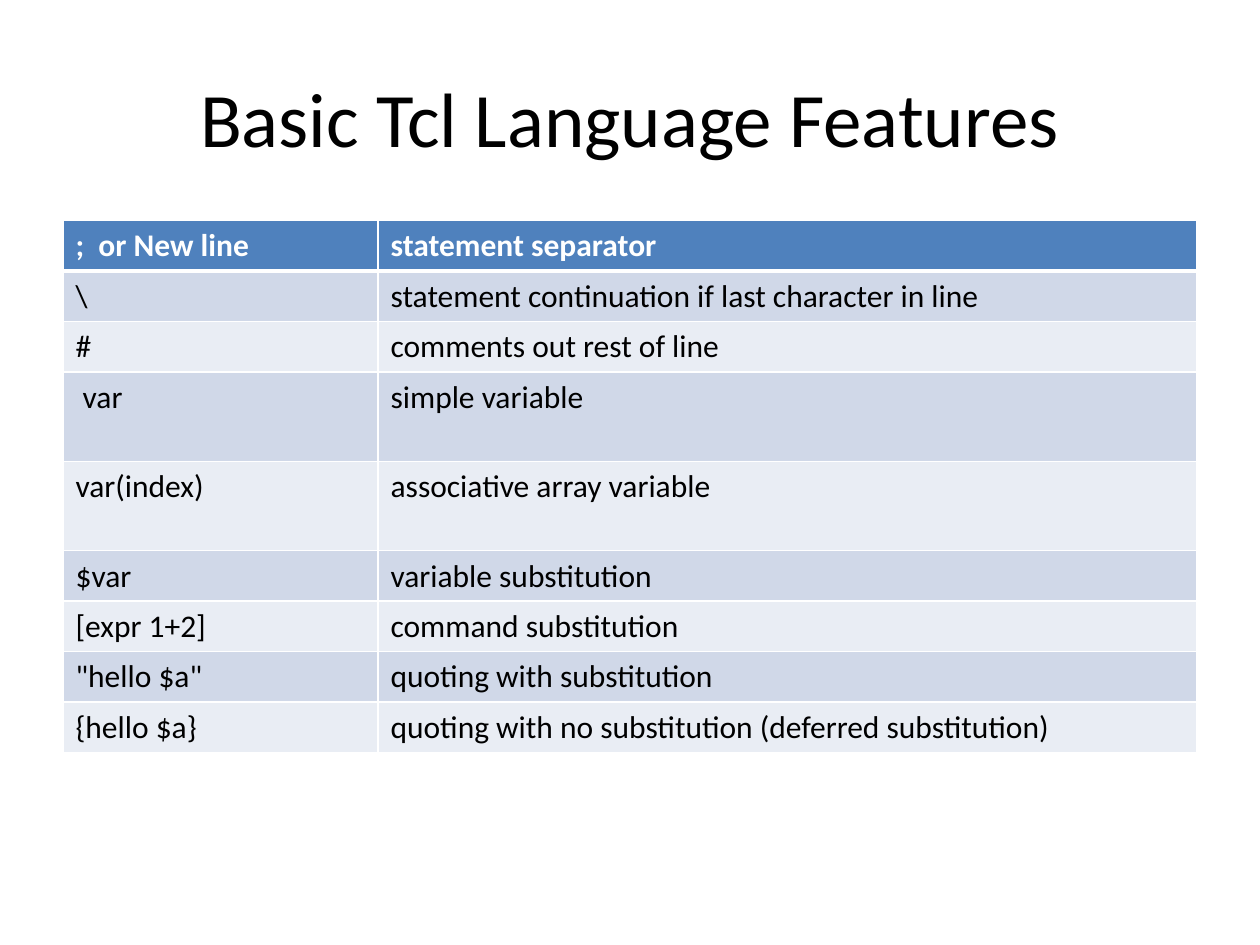
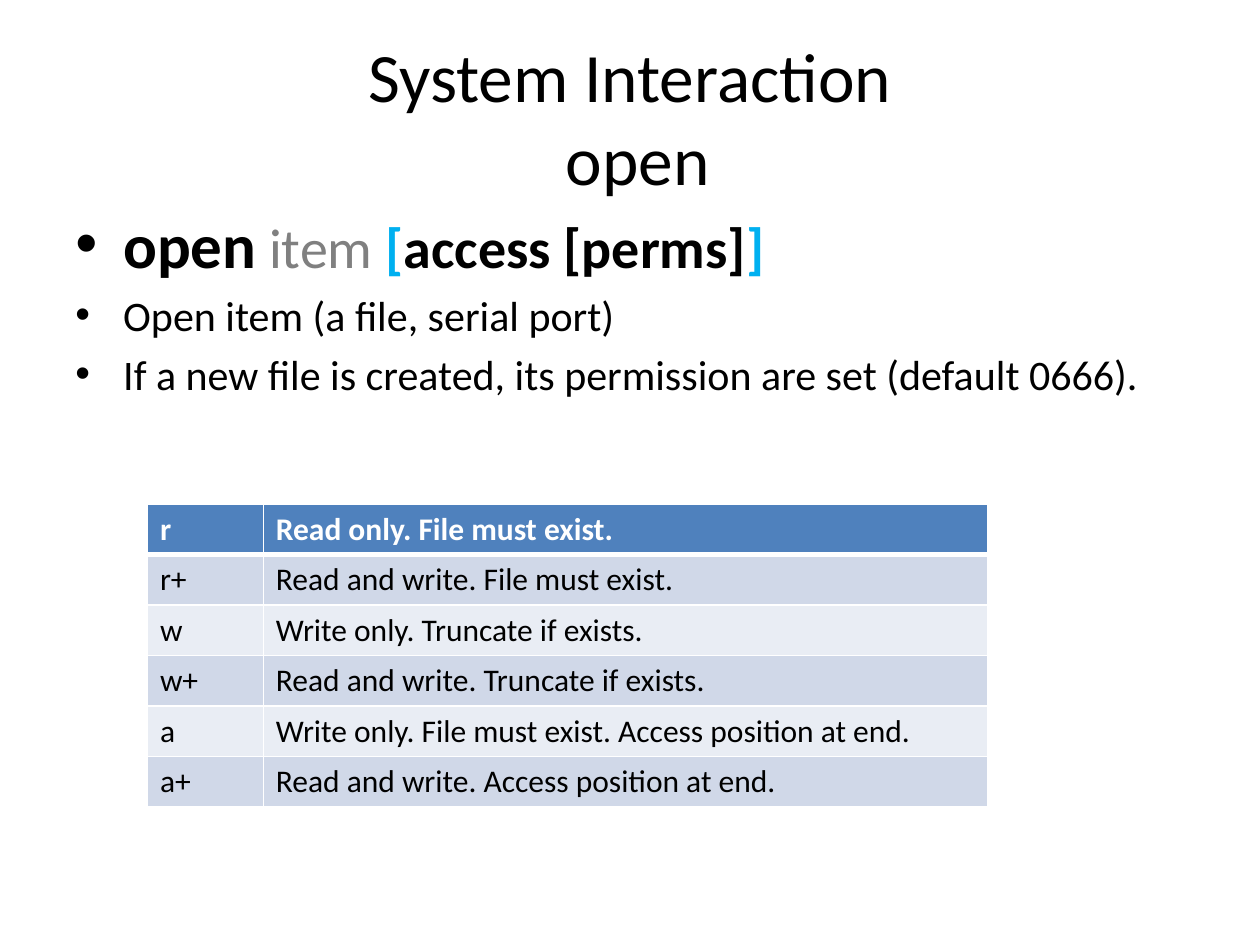
"""Build two slides on Tcl: language features and opening files."""
from lxml import etree
from pptx import Presentation
from pptx.dml.color import RGBColor
from pptx.enum import text
from pptx.oxml import ns
from pptx.util import Inches, Pt

BLACK = RGBColor(0x00, 0x00, 0x00)
WHITE = RGBColor(0xFF, 0xFF, 0xFF)
GRAY = RGBColor(0x80, 0x80, 0x80)
CYAN = RGBColor(0x00, 0xB0, 0xF0)
HEADER = RGBColor(0x4F, 0x81, 0xBD)
BANDS = [RGBColor(0xE9, 0xED, 0xF4), RGBColor(0xD0, 0xD8, 0xE8)]
FONT = "Calibri"
ROW_HEIGHT = 0.4
TALL_ROW = 0.71


def write(paragraph, words, size=18, color=BLACK, bold=False):
    run = paragraph.add_run()
    run.text = words
    run.font.name = FONT
    run.font.size = Pt(size)
    run.font.bold = bold
    run.font.color.rgb = color


def add_grid(slide, left, top, widths, heights, rows):
    frame = slide.shapes.add_table(
        len(rows), len(widths), Inches(left), Inches(top),
        Inches(sum(widths)), Inches(sum(heights)))
    grid = frame.table
    for column, width in zip(grid.columns, widths):
        column.width = Inches(width)
    for r, (entries, height) in enumerate(zip(rows, heights)):
        grid.rows[r].height = Inches(height)
        is_header = r == 0
        for c, words in enumerate(entries):
            cell = grid.cell(r, c)
            properties = cell._tc.get_or_add_tcPr()
            for side in "LRTB":
                thick = (r, side) in [(0, "B"), (1, "T")]
                edge = etree.SubElement(properties, ns.qn(f"a:ln{side}"), w=str(Pt(3 if thick else 1)))
                paint = etree.SubElement(edge, ns.qn("a:solidFill"))
                etree.SubElement(paint, ns.qn("a:srgbClr"), val=str(WHITE))
            cell.fill.solid()
            cell.fill.fore_color.rgb = HEADER if is_header else BANDS[r % 2]
            write(cell.text_frame.paragraphs[0], words,
                  color=WHITE if is_header else BLACK, bold=is_header)


deck = Presentation()
deck.slide_width = Inches(10)
deck.slide_height = Inches(7.5)

slides = []
for lines, title_size in [(["Basic Tcl Language Features"], 44),
                          (["System Interaction", " open"], 39.6)]:
    slide = deck.slides.add_slide(deck.slide_layouts[6])
    slides.append(slide)
    title = slide.shapes.add_textbox(Inches(0.5), Inches(0.3), Inches(9), Inches(1.25)).text_frame
    title.word_wrap = True
    title.vertical_anchor = text.MSO_ANCHOR.MIDDLE
    heading = title.paragraphs[0]
    heading.alignment = text.PP_ALIGN.CENTER
    for number, line in enumerate(lines):
        if number:
            heading.add_line_break()
        write(heading, line, size=title_size)
features_slide, open_slide = slides

features = [
    (";  or New line", "statement separator"),
    ("\\", "statement continuation if last character in line"),
    ("#", "comments out rest of line"),
    (" var", "simple variable"),
    ("var(index)", "associative array variable"),
    ("$var", "variable substitution"),
    ("[expr 1+2]", "command substitution"),
    ('"hello $a"', "quoting with substitution"),
    ("{hello $a}", "quoting with no substitution (deferred substitution)"),
]
feature_heights = [TALL_ROW if r in (3, 4) else ROW_HEIGHT for r in range(len(features))]
add_grid(features_slide, 0.5, 1.75, [2.5, 6.5], feature_heights, features)

usage = [
    [("open", 36, BLACK, True), (" ", 32, BLACK, False), ("item ", 32, GRAY, False),
     ("[", 32, CYAN, True), ("access [perms]", 32, BLACK, True), ("]", 32, CYAN, True)],
    [("Open item (a file, serial port)", 24, BLACK, False)],
    [("If a new file is created, its permission are set (default 0666).", 24, BLACK, False)],
]
body = open_slide.shapes.add_textbox(Inches(0.5), Inches(1.58), Inches(9.17), Inches(4.95)).text_frame
body.word_wrap = True
for number, pieces in enumerate(usage):
    point = body.add_paragraph() if number else body.paragraphs[0]
    point.space_before = Pt(0.2 * pieces[0][1])
    layout = point._p.get_or_add_pPr()
    layout.set("marL", str(Inches(0.38)))
    layout.set("indent", str(Inches(-0.38)))
    etree.SubElement(layout, ns.qn("a:buFont"), typeface="Arial")
    etree.SubElement(layout, ns.qn("a:buChar"), char="•")
    for words, size, color, bold in pieces:
        write(point, words, size=size, color=color, bold=bold)

access_modes = [
    ("r", "Read only. File must exist."),
    ("r+", "Read and write. File must exist."),
    ("w", "Write only. Truncate if exists."),
    ("w+", "Read and write. Truncate if exists."),
    ("a", "Write only. File must exist. Access position at end."),
    ("a+", "Read and write. Access position at end."),
]
add_grid(open_slide, 1.17, 4, [0.92, 5.75], [ROW_HEIGHT] * len(access_modes), access_modes)

deck.save("out.pptx")
